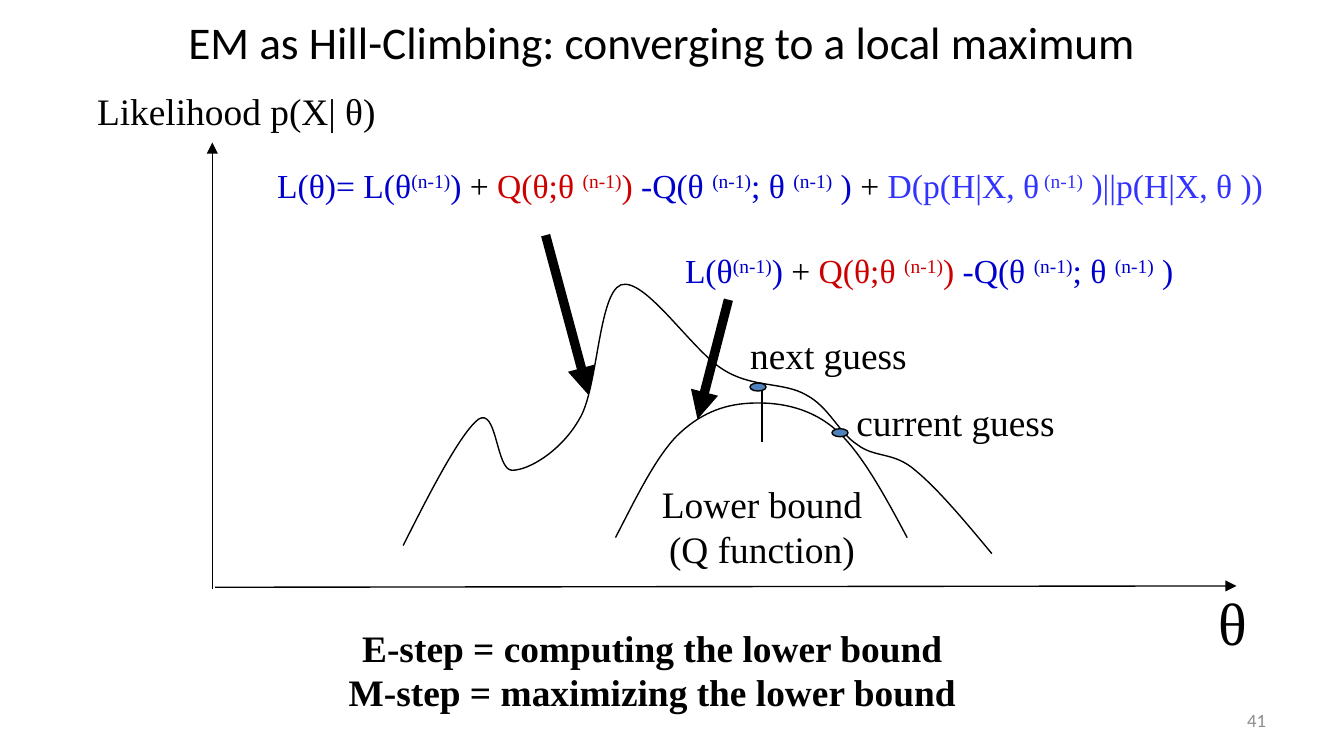
from collections import namedtuple

from lxml.etree import SubElement
from pptx import Presentation
from pptx.dml.color import RGBColor
from pptx.enum.shapes import MSO_CONNECTOR, MSO_SHAPE
from pptx.enum.text import MSO_ANCHOR, PP_ALIGN
from pptx.oxml.ns import qn
from pptx.util import Pt

SCALE = 9144
BLACK = RGBColor(0x00, 0x00, 0x00)
NAVY = RGBColor(0x00, 0x00, 0xCC)
RED = RGBColor(0xCC, 0x00, 0x00)
VIOLET = RGBColor(0x33, 0x33, 0xFF)
STEEL = RGBColor(0x4F, 0x81, 0xBD)
GRAY = RGBColor(0x8C, 0x8C, 0x8C)
SERIF = "Times New Roman"
SANS = "Calibri"


class Box(namedtuple("Box", "left top width height")):
    def inside(self, left, top, width, height):
        return Box(self.left + left, self.top + top, width, height)

    def point(self, x, y):
        return self.left + x, self.top + y

    def emu(self):
        return [value * SCALE for value in self]


Span = namedtuple("Span", "text color raised", defaults=(BLACK, False))

BOUND = [
    Span("L(θ", NAVY), Span("(n-1)", NAVY, True), Span(")", NAVY), Span(" + "),
    Span("Q(θ;θ ", RED), Span("(n-1)", RED, True), Span(") ", RED),
    Span("-Q(θ ", NAVY), Span("(n-1)", NAVY, True), Span("; θ ", NAVY),
    Span("(n-1)", NAVY, True), Span(" ) ", NAVY),
]
DIVERGENCE = [
    Span("+ "), Span("D(p(H|X, θ", VIOLET), Span(" (n-1)", VIOLET, True),
    Span(" )||p(H|X, θ ))", VIOLET),
]

HILL = [
    (142, 300),
    (163, 258), (185, 216), (198, 206), (212, 197), (211, 244), (223, 244),
    (236, 244), (260, 229), (273, 206), (287, 184), (287, 113), (304, 106),
    (322, 100), (357, 155), (380, 169), (402, 183), (425, 178), (442, 188),
    (459, 197), (466, 216), (480, 225), (493, 235), (507, 230), (523, 244),
    (540, 258), (560, 282), (580, 306),
]
LOWER_BOUND = [
    (517, 294),
    (500, 262), (482, 229), (463, 213), (443, 196), (419, 193), (400, 194),
    (380, 195), (362, 202), (345, 219), (329, 236), (315, 265), (300, 294),
]


def add_text(page, box, lines, size=20, font=SERIF, color=BLACK, bold=False,
             align=PP_ALIGN.CENTER, anchor=MSO_ANCHOR.TOP, wrap=True, inset=(10, 5)):
    frame = page.shapes.add_textbox(*box.emu()).text_frame
    frame.word_wrap = wrap
    frame.vertical_anchor = anchor
    frame.margin_left = frame.margin_right = inset[0] * SCALE
    frame.margin_top = frame.margin_bottom = inset[1] * SCALE
    for index, line in enumerate(lines):
        para = frame.add_paragraph() if index else frame.paragraphs[0]
        para.alignment = align
        for part in [Span(line, color)] if isinstance(line, str) else line:
            span = para.add_run()
            span.text = part.text
            span.font.name = font
            span.font.size = Pt(size)
            span.font.bold = bold
            span.font.color.rgb = part.color
            if part.raised:
                span.font._element.set("baseline", "30000")


def add_line(page, start, end, weight=0.75, arrow=True):
    ends = [value * SCALE for value in (*start, *end)]
    connector = page.shapes.add_connector(MSO_CONNECTOR.STRAIGHT, *ends)
    connector.line.color.rgb = BLACK
    connector.line.width = Pt(weight)
    if arrow:
        SubElement(connector.line._get_or_add_ln(), qn("a:tailEnd"), type="triangle")
    SubElement(connector._element.spPr, qn("a:effectLst"))


def add_curve(page, box, points):
    start, *rest = [box.point(*point) for point in points]
    builder = page.shapes.build_freeform(*start, scale=SCALE)
    builder.add_line_segments(rest, close=False)
    curve = builder.convert_to_shape()
    curve.shadow.inherit = False
    curve.fill.background()
    curve.line.color.rgb = BLACK
    curve.line.width = Pt(0.75)
    outline = next(curve._element.iter(qn("a:path")))
    segments = outline.findall(qn("a:lnTo"))
    for first in range(0, len(segments), 3):
        bezier = SubElement(outline, qn("a:cubicBezTo"))
        for segment in segments[first:first + 3]:
            bezier.append(segment[0])
            outline.remove(segment)


def add_marker(page, box):
    marker = page.shapes.add_shape(MSO_SHAPE.OVAL, *box.emu())
    marker.shadow.inherit = False
    marker.fill.solid()
    marker.fill.fore_color.rgb = STEEL
    marker.line.color.rgb = BLACK
    marker.line.width = Pt(0.75)


def draw_title(page, box):
    add_text(page, box, ["EM as Hill-Climbing: converging to a local maximum "],
             size=24.3, font=SANS, anchor=MSO_ANCHOR.MIDDLE, inset=(8, 4))


def draw_axes(page, box):
    add_line(page, box.point(2, 331), box.point(box.width, 330))
    add_line(page, box.point(0, box.height), box.point(0, 0))
    add_text(page, box.inside(-97, -45, 230, 44), ["Likelihood p(X| θ)"], wrap=False)
    add_text(page, box.inside(737, 325, 44, 64), ["θ"], size=32, wrap=False)


def draw_curves(page, box):
    add_curve(page, box, HILL)
    add_curve(page, box, LOWER_BOUND)
    add_marker(page, box.inside(461, 213, 12, 6))
    add_text(page, box.inside(459, 186, 188, 44), ["current guess"])
    add_text(page, box.inside(314, 247, 190, 77), ["Lower bound", "(Q function)"])
    add_line(page, box.point(409, 179), box.point(409, 223), arrow=False)
    add_marker(page, box.inside(400, 179, 12, 6))
    add_text(page, box.inside(388, 136, 141, 44), ["next guess"])


def draw_formulas(page, box):
    likelihood = [Span("L(θ)= ", NAVY)] + BOUND + DIVERGENCE
    add_text(page, box.inside(0, 0, 792, 40), [likelihood], size=18, wrap=False)
    add_line(page, box.point(229, 57), box.point(261, 176), weight=5)
    add_text(page, box.inside(295, 63, 445, 40), [BOUND], size=18)
    add_line(page, box.point(365, 105), box.point(342, 194), weight=5)


def draw_steps(page, box):
    add_text(page, box, ["E-step = computing the lower bound",
                         "M-step = maximizing the lower bound"], bold=True, wrap=False)


def draw_page_number(page, box):
    add_text(page, box, ["41"], size=10, font=SANS, color=GRAY,
             align=PP_ALIGN.RIGHT, anchor=MSO_ANCHOR.MIDDLE, inset=(8, 4))


def main():
    deck = Presentation()
    deck.slide_width = 1000 * SCALE
    deck.slide_height = deck.slide_width * 9 // 16
    page = deck.slides.add_slide(deck.slide_layouts[6])
    plot = Box(158, 106, 762, 332)
    draw_title(page, Box(121, 0, 750, 62))
    draw_axes(page, plot)
    draw_curves(page, plot)
    draw_steps(page, Box(248, 460, 475, 77))
    draw_formulas(page, Box(177, 118, 792, 194))
    draw_page_number(page, Box(717, 521, 233, 30))
    deck.save("out.pptx")


if __name__ == "__main__":
    main()
